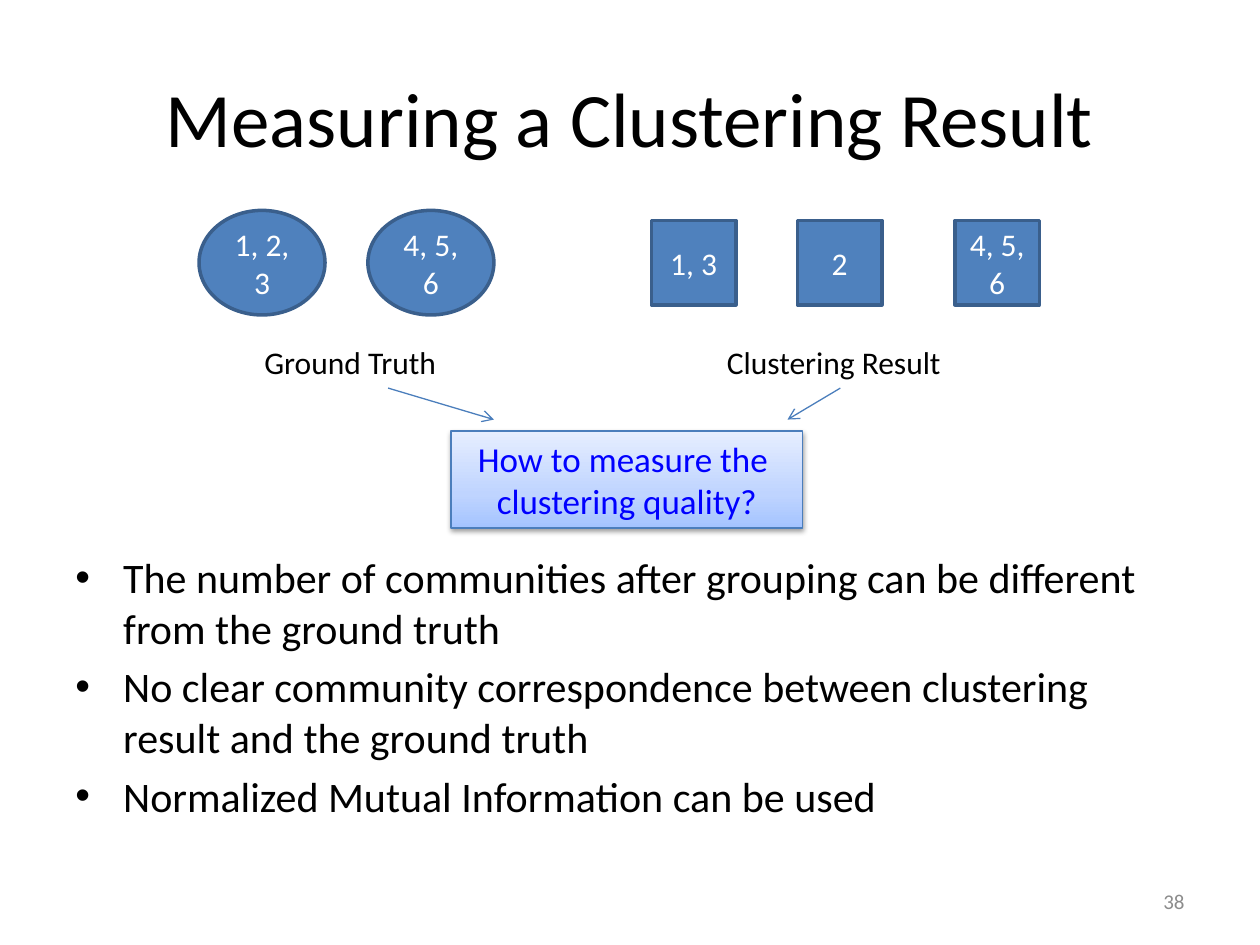
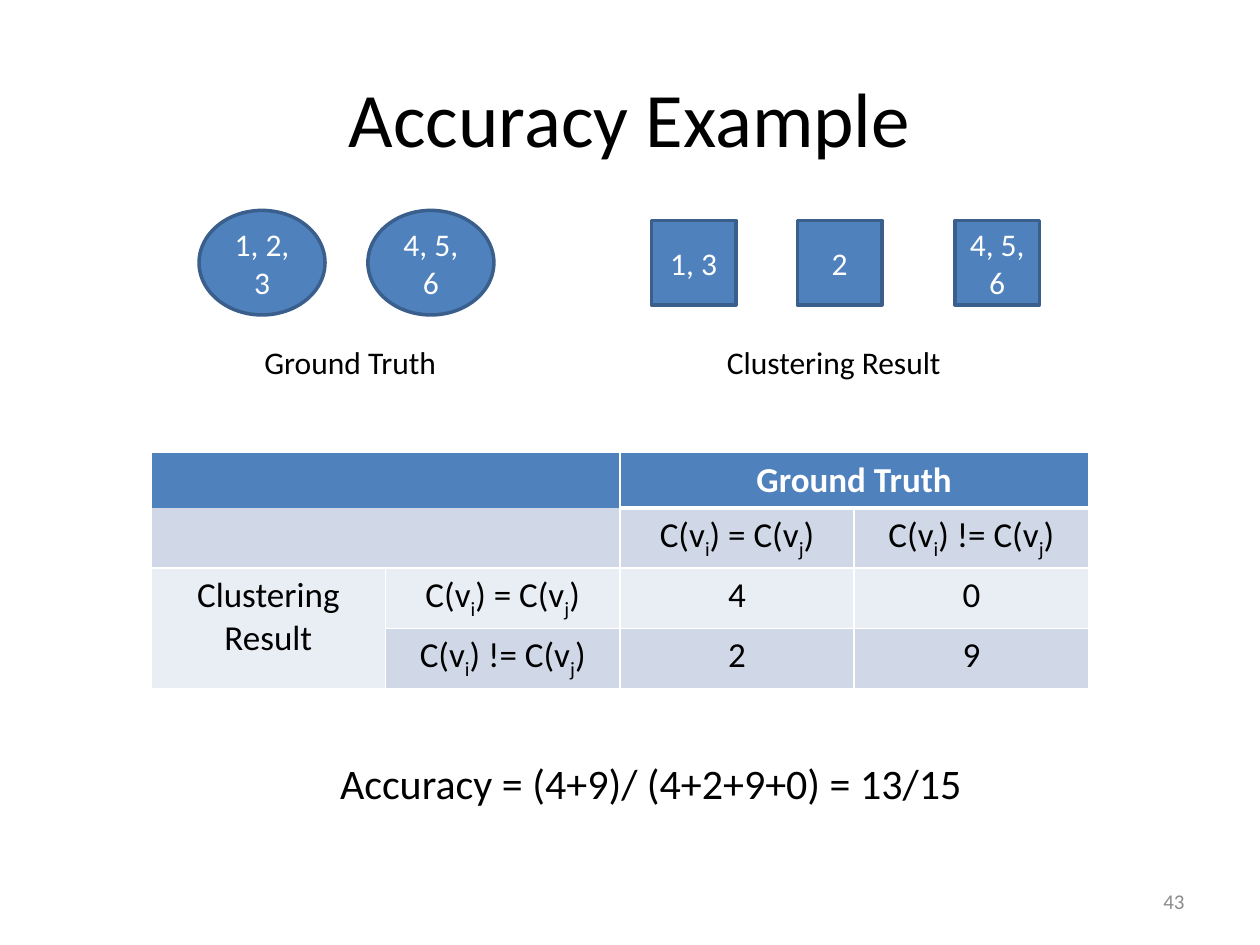
from copy import deepcopy

from lxml.etree import SubElement
from pptx import Presentation
from pptx.dml.color import RGBColor
from pptx.enum.shapes import MSO_CONNECTOR, MSO_SHAPE
from pptx.enum.text import MSO_ANCHOR as Anchor, MSO_AUTO_SIZE as AutoSize, PP_ALIGN as Align
from pptx.oxml.ns import qn
from pptx.util import Inches, Pt

FONT = "Calibri"
COLORS = {
    "black": "000000", "white": "FFFFFF", "number": "8C8C8C", "question": "0000FF",
    "accent": "4F81BD", "outline": "3A5F8C", "arrow": "4B7EBC",
    "band_dark": "D0D8E8", "band_light": "E9EDF4",
}
QUESTION_GRADIENT = [(0, "A4C4FF"), (0.35, "BFD4FF"), (1, "E6EEFF")]
SAME, DIFFERENT = "C(v_i) = C(v_j)", "C(v_i) != C(v_j)"


def color(name):
    return RGBColor.from_string(COLORS[name])


def format_text(text_frame, size, color_name="black", align=Align.LEFT, bold=False):
    for paragraph in text_frame.paragraphs:
        paragraph.alignment = align
        for run in paragraph.runs:
            run.font.name, run.font.size, run.font.bold = FONT, Pt(size), bold
            run.font.color.rgb = color(color_name)


def add_text(shapes, box, text, size, color_name="black", align=Align.LEFT, wrap=False):
    text_box = shapes.add_textbox(*map(Inches, box))
    text_frame = text_box.text_frame
    text_frame.word_wrap = wrap
    text_frame.auto_size = AutoSize.NONE if wrap else AutoSize.SHAPE_TO_FIT_TEXT
    text_frame.text = text
    format_text(text_frame, size, color_name, align)
    return text_frame


def add_titled_slide(presentation, title_text, number):
    """Title-only slide with the shared title style and page number."""
    slide = presentation.slides.add_slide(presentation.slide_layouts[5])
    title = slide.shapes.title
    title.left, title.top, title.width, title.height = map(Inches, (0.5, 0.3, 9, 1.25))
    title.text_frame.text = title_text
    title.text_frame.vertical_anchor = Anchor.MIDDLE
    format_text(title.text_frame, 44, align=Align.CENTER)
    number_frame = add_text(slide.shapes, (7.17, 6.95, 2.33, 0.4), number, 12,
                            "number", Align.RIGHT, wrap=True)
    number_frame.vertical_anchor = Anchor.MIDDLE
    return slide


# Ground truth and clustering result
def add_cluster(shapes, kind, box, members):
    cluster = shapes.add_shape(kind, *map(Inches, box))
    cluster.shadow.inherit = False
    cluster.fill.solid()
    cluster.fill.fore_color.rgb = color("accent")
    cluster.line.color.rgb = color("outline")
    cluster.line.width = Pt(2)
    cluster.text_frame.text = members
    cluster.text_frame.vertical_anchor = Anchor.MIDDLE
    format_text(cluster.text_frame, 18, "white", Align.CENTER)


def add_clusterings(slide, left, top):
    shapes = slide.shapes.add_group_shape().shapes
    for offset, members in [(0, "1, 2, 3"), (1.34, "4, 5, 6")]:
        add_cluster(shapes, MSO_SHAPE.OVAL, (left + offset, top, 1, 0.83), members)
    for offset, members in [(3.59, "1, 3"), (4.75, "2"), (6, "4, 5, 6")]:
        add_cluster(shapes, MSO_SHAPE.RECTANGLE,
                    (left + offset, top + 0.08, 0.67, 0.67), members)
    for offset, width, label in [(0.42, 1.69, "Ground Truth"), (4.09, 2.12, "Clustering Result")]:
        add_text(shapes, (left + offset, top + 1, width, 0.4), label, 18)


# Question box with its two arrows
def add_arrow(slide, start, end):
    arrow = slide.shapes.add_connector(MSO_CONNECTOR.STRAIGHT, *map(Inches, start + end))
    arrow.line.color.rgb = color("arrow")
    arrow.line.width = Pt(0.75)
    SubElement(arrow.line._get_or_add_ln(), qn("a:tailEnd"), type="arrow")
    SubElement(arrow._element.spPr, qn("a:effectLst"))


def add_question(slide, left, top, width, height):
    question = slide.shapes.add_shape(MSO_SHAPE.RECTANGLE,
                                      *map(Inches, (left, top, width, height)))
    question.line.color.rgb = color("arrow")
    question.line.width = Pt(0.75)

    # Three-stop gradient, darkest at the bottom
    question.fill.gradient()
    question.fill.gradient_angle = 90
    stop_list = question._element.spPr.find(".//" + qn("a:gsLst"))
    stop_list.append(deepcopy(stop_list[0]))
    for stop, (position, shade) in zip(question.fill.gradient_stops, QUESTION_GRADIENT):
        stop.position = position
        stop.color.rgb = RGBColor.from_string(shade)

    # Soft shadow below
    question.shadow.inherit = False
    effects = question._element.spPr.find(qn("a:effectLst"))
    shadow = SubElement(effects, qn("a:outerShdw"), blurRad=str(Pt(3.1)), dist=str(Pt(1.6)),
                        dir="5400000", rotWithShape="0")
    shade = SubElement(shadow, qn("a:srgbClr"), val=COLORS["black"])
    SubElement(shade, qn("a:alpha"), val="38000")

    text_frame = question.text_frame
    text_frame.text = "How to measure the \nclustering quality?"
    text_frame.word_wrap = False
    text_frame.auto_size = AutoSize.SHAPE_TO_FIT_TEXT
    text_frame.vertical_anchor = Anchor.TOP
    format_text(text_frame, 20, "question", Align.CENTER)

    for start, end in [(-0.5, 0.34), (3.09, 2.67)]:
        add_arrow(slide, (left + start, top - 0.34), (left + end, top - 0.09))


def add_bullets(slide, box, items):
    text_frame = add_text(slide.shapes, box, "\n".join(items), 24, wrap=True)
    for paragraph in text_frame.paragraphs:
        paragraph.space_before = Pt(4.8)
        properties = paragraph._p.get_or_add_pPr()
        properties.set("marL", str(Inches(0.38)))
        properties.set("indent", str(-Inches(0.38)))
        SubElement(properties, qn("a:buFont"), typeface="Arial")
        SubElement(properties, qn("a:buChar"), char="•")


# Table of pair counts
def set_borders(cell, **widths):
    """Give each named side a white line, or none where the width is 0."""
    properties = cell._tc.get_or_add_tcPr()
    for side in "LRTB":
        width = widths.get(side, 1)
        line = SubElement(properties, qn(f"a:ln{side}"), w=str(Pt(width)))
        if width:
            fill = SubElement(line, qn("a:solidFill"))
            SubElement(fill, qn("a:srgbClr"), val=COLORS["white"])
        else:
            SubElement(line, qn("a:noFill"))


def write_cell(cell, text, is_header):
    """Write the text, lowering the letter that follows each underscore."""
    text_frame = cell.text_frame
    for index, line in enumerate(text.split("\n")):
        paragraph = text_frame.add_paragraph() if index else text_frame.paragraphs[0]
        first, *others = line.split("_")
        if first:
            paragraph.add_run().text = first
        for part in others:
            subscript = paragraph.add_run()
            subscript.text = part[0]
            subscript._r.get_or_add_rPr().set("baseline", "-25000")
            paragraph.add_run().text = part[1:]
    format_text(text_frame, 20, "white" if is_header else "black", Align.CENTER, is_header)


def add_pair_table(slide, left, top, width, row_height):
    rows = [
        ["", "", "Ground Truth", ""],
        ["", "", SAME, DIFFERENT],
        ["Clustering\nResult", SAME, "4", "0"],
        ["", DIFFERENT, "2", "9"],
    ]
    fills = ["accent", "band_dark", "band_light", "band_dark"]
    frame = slide.shapes.add_table(len(rows), 4, *map(Inches, (left, top, width,
                                                               row_height * len(rows))))
    table = frame.table
    for row_index, row in enumerate(rows):
        for column_index, text in enumerate(row):
            cell = table.cell(row_index, column_index)
            below_header = 0 if column_index < 2 else 3
            set_borders(cell, **{0: {"B": below_header}, 1: {"T": below_header}}.get(row_index, {}))
            cell.fill.solid()
            cell.fill.fore_color.rgb = color(fills[row_index])
            if text:
                write_cell(cell, text, row_index == 0)
    for first, last in [((0, 0), (0, 1)), ((0, 2), (0, 3)), ((1, 0), (1, 1)), ((2, 0), (3, 0))]:
        table.cell(*first).merge(table.cell(*last))


def build_measuring_slide(presentation):
    slide = add_titled_slide(presentation, "Measuring a Clustering Result", "38")
    add_bullets(slide, (0.5, 4.33, 9, 2.12), [
        "The number of communities after grouping can be different from the ground truth",
        "No clear community correspondence between clustering result and the ground truth",
        "Normalized Mutual Information can be used",
    ])
    add_clusterings(slide, 1.58, 1.67)
    add_question(slide, 3.58, 3.42, 2.79, 0.77)


def build_accuracy_slide(presentation):
    slide = add_titled_slide(presentation, "Accuracy Example", "43")
    add_pair_table(slide, 1.2, 3.59, 7.44, 0.43)
    add_clusterings(slide, 1.58, 1.67)
    add_text(slide.shapes, (2.6, 5.96, 5.19, 0.5), "Accuracy = (4+9)/ (4+2+9+0) = 13/15", 24)


def main():
    presentation = Presentation()
    presentation.slide_width, presentation.slide_height = Inches(10), Inches(7.5)
    build_measuring_slide(presentation)
    build_accuracy_slide(presentation)
    presentation.save("out.pptx")


if __name__ == "__main__":
    main()
